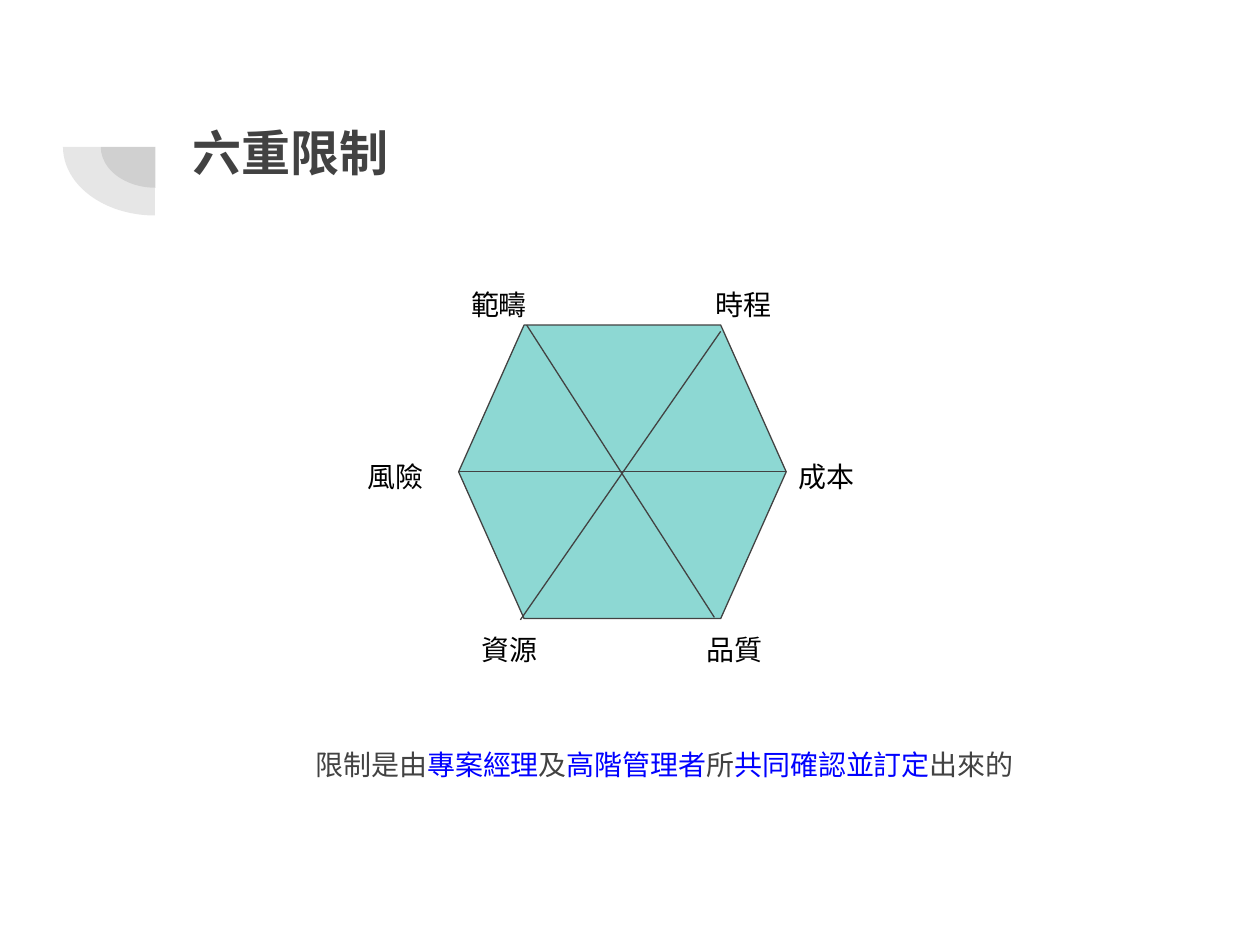
from lxml import etree
from pptx import Presentation
from pptx.dml.color import RGBColor
from pptx.enum.shapes import MSO_CONNECTOR, MSO_SHAPE
from pptx.enum.text import MSO_ANCHOR, PP_ALIGN
from pptx.oxml.ns import qn
from pptx.util import Inches, Pt

PIE = MSO_SHAPE.PIE
HEXAGON = MSO_SHAPE.FLOWCHART_PREPARATION
STRAIGHT = MSO_CONNECTOR.STRAIGHT
LEFT, CENTER = PP_ALIGN.LEFT, PP_ALIGN.CENTER
TOP = MSO_ANCHOR.TOP

COLORS = {"grey": "424242", "teal": "8DD8D3", "blue": "0000FF", "black": "000000"}


def color(name):
    return RGBColor.from_string(COLORS[name])


def write(box, *runs, size=16, font="Arial", bold=False, align=LEFT, spacing=1.0, after=0):
    """Fill a text shape with (text, color name) runs in one paragraph."""
    frame = box.text_frame
    frame.word_wrap = True
    frame.vertical_anchor = TOP
    frame.margin_left = frame.margin_right = Inches(0.1)
    frame.margin_top = frame.margin_bottom = Inches(0.1)
    paragraph = frame.paragraphs[0]
    paragraph.alignment = align
    paragraph.line_spacing = spacing
    paragraph.space_before, paragraph.space_after = Pt(0), Pt(after)
    for text, tint in runs:
        run = paragraph.add_run()
        run.text = text
        run.font.name, run.font.size, run.font.bold = font, Pt(size), bold
        run.font.color.rgb = color(tint)


prs = Presentation()
prs.slide_width, prs.slide_height = Inches(10), Inches(7.5)
slide = prs.slides.add_slide(prs.slide_layouts[5])
shapes = slide.shapes

# Translucent quarter discs beside the title
for left, top, width, height in ((0.8, 0.84, 0.87, 0.65), (0.5, 0.62, 1.46, 1.09)):
    quarter = shapes.add_shape(PIE, Inches(left), Inches(top), Inches(width), Inches(height))
    # Angles of 90 and 180 degrees, in units of 100000/60000 degree
    quarter.adjustments[0], quarter.adjustments[1] = 54, 108
    quarter.shadow.inherit = False
    quarter.line.fill.background()
    quarter.fill.solid()
    quarter.fill.fore_color.rgb = color("grey")
    tint = quarter.fill._xPr.find(qn("a:solidFill"))[0]
    etree.SubElement(tint, qn("a:alpha"), val="13000")

# Title
title = shapes.title
title.left, title.top, title.width, title.height = (Inches(n) for n in (1.43, 0.87, 7.69, 1.46))
write(title, ("六重限制", "grey"), size=28, bold=True)

# Closing statement
statement = shapes.add_textbox(Inches(1.43), Inches(5.79), Inches(7.69), Inches(0.82))
write(statement,
      ("限制是由", "grey"), ("專案經理", "blue"), ("及", "grey"), ("高階管理者", "blue"),
      ("所", "grey"), ("共同確認並訂定", "blue"), ("出來的", "grey"),
      font="League Spartan", align=CENTER, spacing=1.15, after=16)

# Hexagon
hexagon = shapes.add_shape(HEXAGON, Inches(3.64), Inches(2.58), Inches(2.6), Inches(2.33))
hexagon.shadow.inherit = False
hexagon.fill.solid()
hexagon.fill.fore_color.rgb = color("teal")
hexagon.line.color.rgb = color("grey")
hexagon.line.width = Pt(0.75)

# Constraint names at the corners
constraints = (
    ("風險", 2.82, 3.55), ("成本", 6.24, 3.55),
    ("範疇", 3.64, 2.18), ("時程", 5.58, 2.18),
    ("資源", 3.72, 4.92), ("品質", 5.51, 4.92),
)
for name, left, top in constraints:
    label = shapes.add_textbox(Inches(left), Inches(top), Inches(0.82), Inches(0.4))
    write(label, (name, "black"))

# Diagonals; the level one is joined to the hexagon's sides
diagonals = []
for ends in ((4.18, 2.58, 5.67, 4.9), (5.72, 2.63, 4.13, 4.92), (3.64, 3.75, 6.24, 3.75)):
    diagonal = shapes.add_connector(STRAIGHT, *(Inches(n) for n in ends))
    diagonal.line.color.rgb = color("grey")
    diagonal.line.width = Pt(0.75)
    etree.SubElement(diagonal._element.spPr, qn("a:effectLst"))
    diagonals.append(diagonal)
diagonals[-1].begin_connect(hexagon, 1)
diagonals[-1].end_connect(hexagon, 3)

prs.save("out.pptx")
